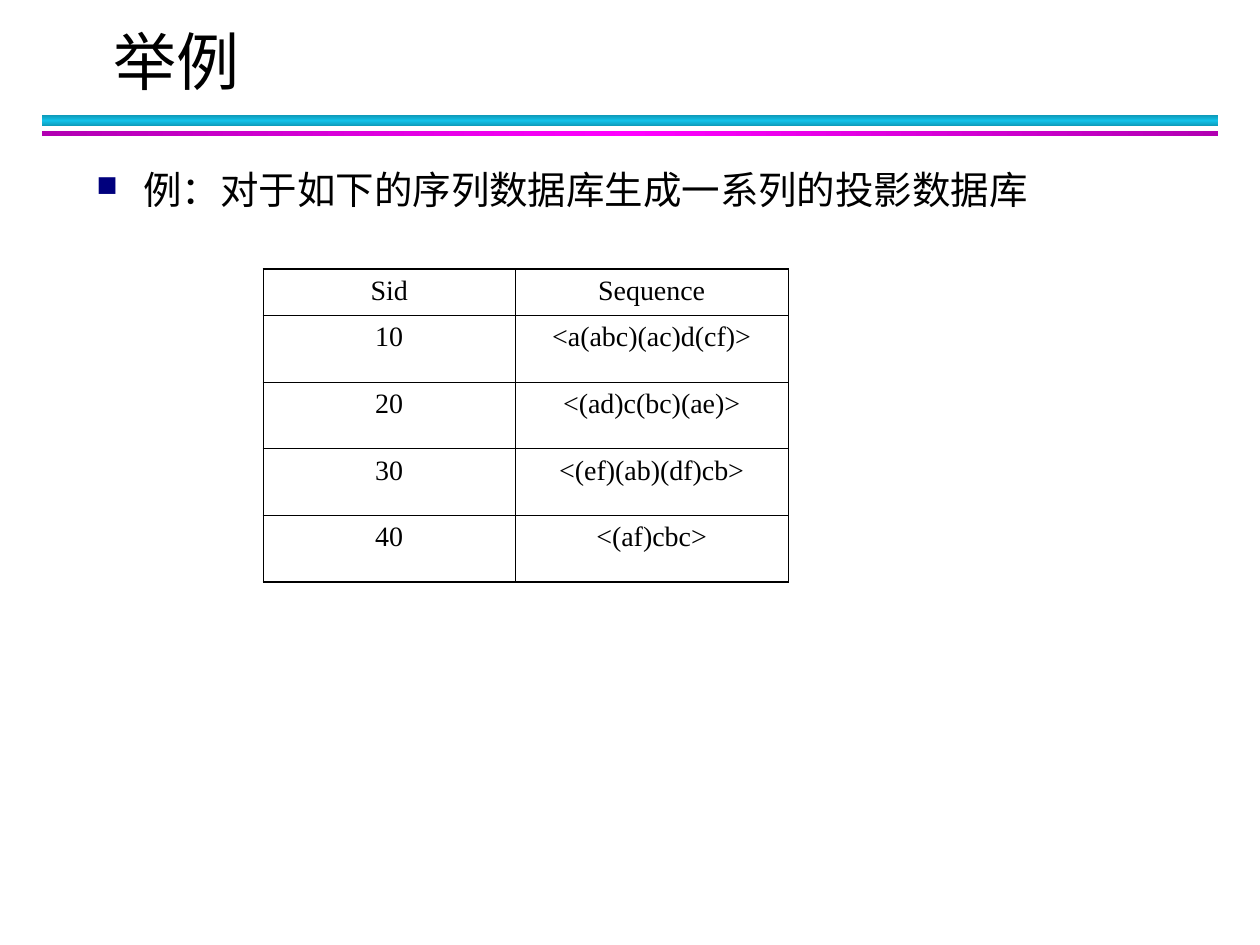
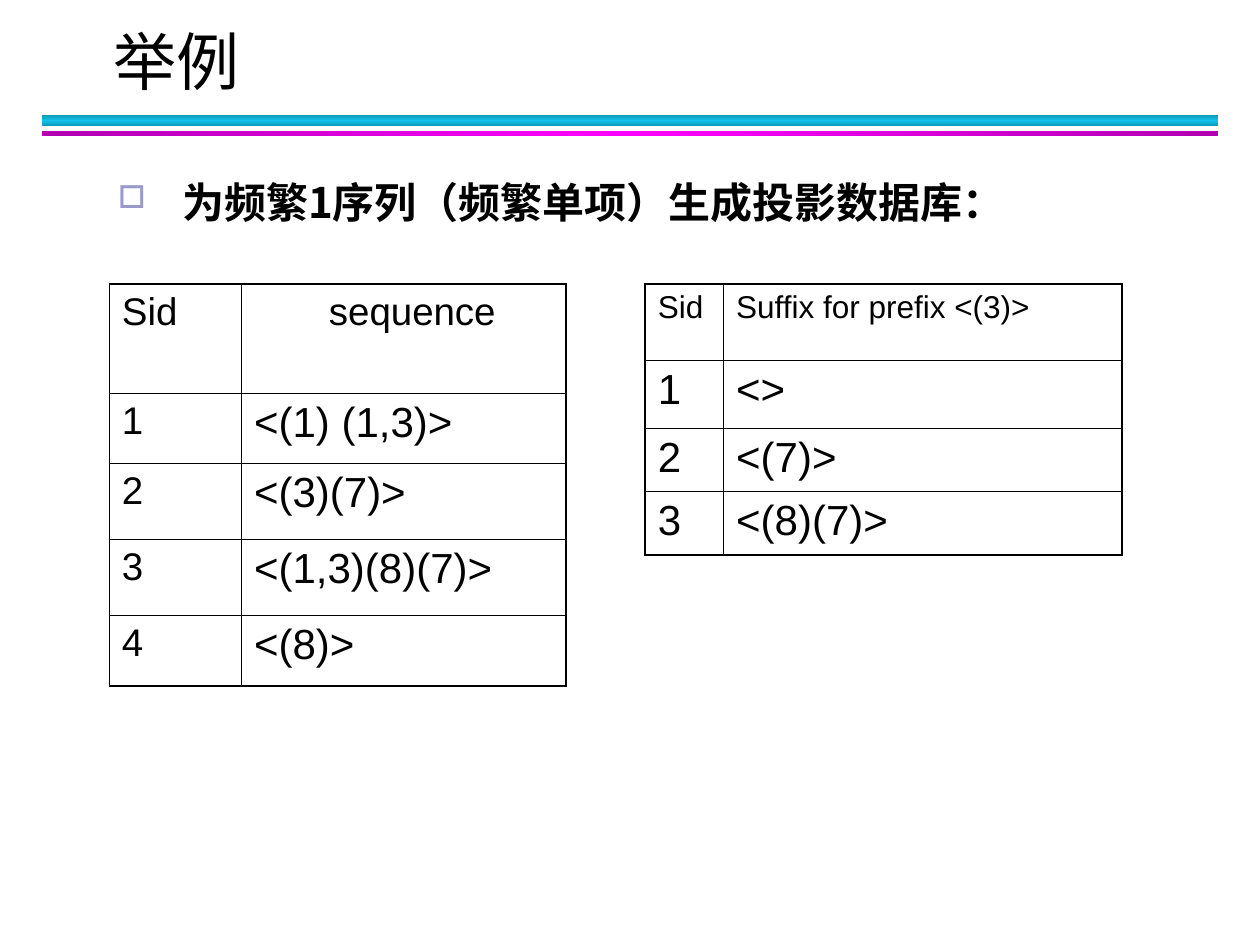
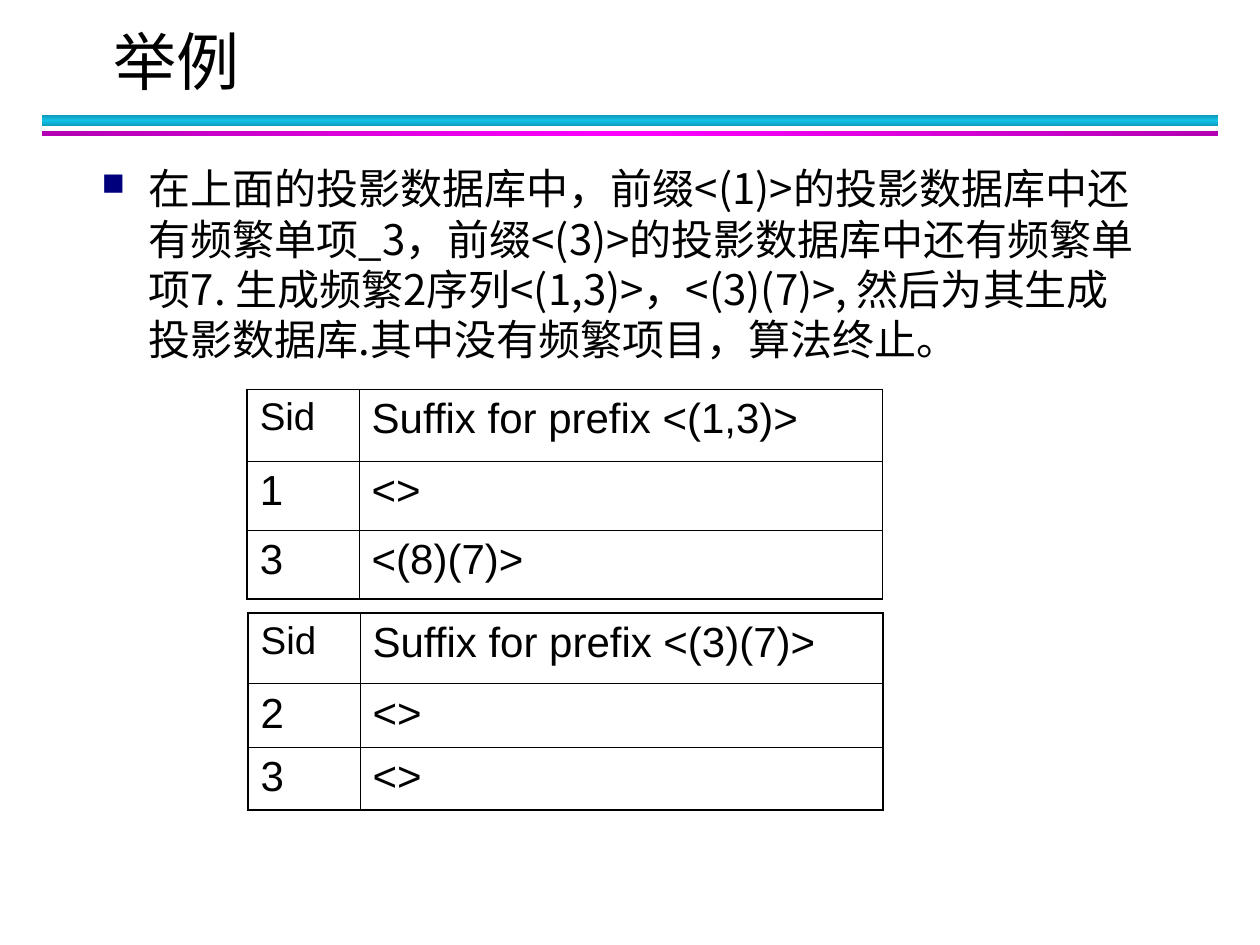
from copy import deepcopy

from lxml import etree
from pptx import Presentation
from pptx.dml.color import RGBColor
from pptx.enum.shapes import MSO_SHAPE
from pptx.enum.text import MSO_ANCHOR, PP_ALIGN
from pptx.oxml.ns import qn
from pptx.util import Pt

RECTANGLE = MSO_SHAPE.RECTANGLE
MIDDLE = MSO_ANCHOR.MIDDLE
LEFT, CENTER = PP_ALIGN.LEFT, PP_ALIGN.CENTER

BLACK = RGBColor(0x00, 0x00, 0x00)
NAVY = RGBColor(0x00, 0x00, 0x7D)
LAVENDER = RGBColor(0x99, 0x99, 0xCC)
DARK_CYAN = RGBColor(0x0E, 0x9B, 0xBA)
CYAN = RGBColor(0x12, 0xC2, 0xE9)
PURPLE = RGBColor(0xB2, 0x00, 0xB2)
MAGENTA = RGBColor(0xFF, 0x00, 0xFF)

CHINESE = "Noto Sans CJK SC"
SANS = "Arial"
SERIF = "Times New Roman"

OUTER_LINE, INNER_LINE = 1.08, 0.45

TITLE = "举例"
TITLE_BOX = (57.6, 13, 648, 43.2)
# top, height, edge colour, middle colour, gradient angle
BANDS = [(66, 6, DARK_CYAN, CYAN, 90), (74.8, 3, PURPLE, MAGENTA, 0)]
BAND_LEFT, BAND_WIDTH = 24, 672

SQUARE = {"mark": "■", "color": NAVY, "indent": 27}
HOLLOW = {"mark": "□", "color": LAVENDER, "indent": 36.75}

# Sizes are one per column: header row, then body rows.
SLIDES = [
    {
        "text": "例：对于如下的序列数据库生成一系列的投影数据库",
        "box": (48, 91.5, 590, 324), "bullet": SQUARE,
        "format": {"size": Pt(22)}, "align": LEFT,
        "tables": [
            {"at": (150.5, 153.75), "columns": (143.75, 156.25),
             "heights": (26.5, 38.15, 38.15, 38.15, 38.15),
             "font": SERIF, "header": (16, 16), "body": (16, 16), "align": CENTER,
             "rows": [("Sid", "Sequence"),
                      ("10", "<a(abc)(ac)d(cf)>"),
                      ("20", "<(ad)c(bc)(ae)>"),
                      ("30", "<(ef)(ab)(df)cb>"),
                      ("40", "<(af)cbc>")]},
        ],
    },
    {
        "text": "为频繁1序列（频繁单项）生成投影数据库：",
        "box": (53.5, 97.2, 510.5, 48), "bullet": HOLLOW,
        "format": {"size": Pt(24), "bold": True}, "align": CENTER,
        "tables": [
            {"at": (368.75, 162.25), "columns": (44.75, 227.5),
             "heights": (43.75, 38.75, 36.25, 36),
             "font": SANS, "header": (18, 18), "body": (24, 24),
             "rows": [("Sid", "Suffix for prefix <(3)>"),
                      ("1", "<>"),
                      ("2", "<(7)>"),
                      ("3", "<(8)(7)>")]},
            {"at": (62.5, 162.25), "columns": (75.5, 185.5),
             "heights": (62.5, 40, 43.5, 43.5, 40.25),
             "font": SANS, "header": (22, 22), "body": (22, 24), "header_indent": 42.8,
             "rows": [("Sid", "sequence"),
                      ("1", "<(1) (1,3)>"),
                      ("2", "<(3)(7)>"),
                      ("3", "<(1,3)(8)(7)>"),
                      ("4", "<(8)>")]},
        ],
    },
    {
        "text": "在上面的投影数据库中，前缀<(1)>的投影数据库中还有频繁单项_3，"
                "前缀<(3)>的投影数据库中还有频繁单项7. 生成频繁2序列<(1,3)>，"
                "<(3)(7)>, 然后为其生成投影数据库.其中没有频繁项目，算法终止。",
        "box": (51, 89.5, 612, 324), "bullet": SQUARE,
        "format": {"size": Pt(24)}, "align": LEFT,
        "tables": [
            {"at": (141.25, 222.5), "columns": (64, 299),
             "heights": (41, 39.5, 39.5),
             "font": SANS, "header": (22, 24), "body": (24, 24),
             "rows": [("Sid", "Suffix for prefix <(1,3)>"),
                      ("1", "<>"),
                      ("3", "<(8)(7)>")]},
            {"at": (141.75, 350.25), "columns": (64, 299),
             "heights": (40.5, 36.25, 36),
             "font": SANS, "header": (22, 24), "body": (24, 24),
             "rows": [("Sid", "Suffix for prefix <(3)(7)>"),
                      ("2", "<>"),
                      ("3", "<>")]},
        ],
    },
]


def points(values):
    return [Pt(value) for value in values]


def set_indent(paragraph, left, first=0):
    properties = paragraph._p.get_or_add_pPr()
    properties.set("marL", str(Pt(left)))
    properties.set("indent", str(Pt(first)))
    return properties


def add_bullet(paragraph, bullet):
    properties = set_indent(paragraph, bullet["indent"], -bullet["indent"])
    color = etree.SubElement(properties, qn("a:buClr"))
    etree.SubElement(color, qn("a:srgbClr"), val=str(bullet["color"]))
    etree.SubElement(properties, qn("a:buSzPct"), val="75000")
    etree.SubElement(properties, qn("a:buChar"), char=bullet["mark"])


def write(paragraph, text, font_name, **format_values):
    """Add one black run, with the font set for Latin and Chinese text."""
    run = paragraph.add_run()
    run.text = text
    run.font.color.rgb = BLACK
    for name, value in {"name": font_name, **format_values}.items():
        setattr(run.font, name, value)
    latin = run._r.rPr.find(qn("a:latin"))
    latin.addnext(latin.makeelement(qn("a:ea"), {"typeface": font_name}))


def add_text_box(slide, box):
    frame = slide.shapes.add_textbox(*points(box)).text_frame
    frame.word_wrap = True
    return frame


def add_band(slide, top, height, edge, middle, angle):
    band = slide.shapes.add_shape(RECTANGLE, *points((BAND_LEFT, top, BAND_WIDTH, height)))
    band.shadow.inherit = False
    band.line.fill.background()
    band.fill.gradient()
    band.fill.gradient_angle = angle
    first_stop = next(band._element.spPr.iter(qn("a:gs")))
    first_stop.addnext(deepcopy(first_stop))
    stops = zip(band.fill.gradient_stops, (0, 0.5, 1), (edge, middle, edge))
    for stop, position, color in stops:
        stop.position = position
        stop.color.rgb = color


def add_frame(slide):
    """Add the bands and the title that every slide carries."""
    for band in BANDS:
        add_band(slide, *band)
    frame = add_text_box(slide, TITLE_BOX)
    frame.vertical_anchor = MIDDLE
    write(frame.paragraphs[0], TITLE, CHINESE, size=Pt(36))


def set_borders(cell, outer_sides):
    """Draw thick lines on the table's outside and thin ones within."""
    properties = cell._tc.get_or_add_tcPr()
    for index, (side, outer) in enumerate(outer_sides.items()):
        width = OUTER_LINE if outer else INNER_LINE
        line = etree.Element(qn(f"a:ln{side}"), w=str(Pt(width)))
        fill = etree.SubElement(line, qn("a:solidFill"))
        etree.SubElement(fill, qn("a:srgbClr"), val=str(BLACK))
        properties.insert(index, line)


def add_sequence_table(slide, content):
    rows, widths, heights = content["rows"], content["columns"], content["heights"]
    size = (sum(widths), sum(heights))
    table = slide.shapes.add_table(
        len(rows), len(widths), *points(content["at"] + size)).table
    table.first_row = table.horz_banding = False
    for column, width in zip(table.columns, widths):
        column.width = Pt(width)
    for row, height in zip(table.rows, heights):
        row.height = Pt(height)
    for r, row in enumerate(rows):
        sizes = content["body"] if r else content["header"]
        for c, text in enumerate(row):
            cell = table.cell(r, c)
            cell.fill.background()
            set_borders(cell, {"L": c == 0, "R": c == len(widths) - 1,
                               "T": r == 0, "B": r == len(rows) - 1})
            paragraph = cell.text_frame.paragraphs[0]
            paragraph.alignment = content.get("align", LEFT)
            if r == 0 and c == 1 and "header_indent" in content:
                set_indent(paragraph, content["header_indent"])
            write(paragraph, text, content["font"], size=Pt(sizes[c]))


def main():
    presentation = Presentation()
    presentation.slide_width, presentation.slide_height = Pt(720), Pt(540)
    for content in SLIDES:
        slide = presentation.slides.add_slide(presentation.slide_layouts[6])
        add_frame(slide)
        paragraph = add_text_box(slide, content["box"]).paragraphs[0]
        paragraph.alignment = content["align"]
        add_bullet(paragraph, content["bullet"])
        write(paragraph, content["text"], CHINESE, **content["format"])
        for table in content["tables"]:
            add_sequence_table(slide, table)
    presentation.save("out.pptx")


if __name__ == "__main__":
    main()
